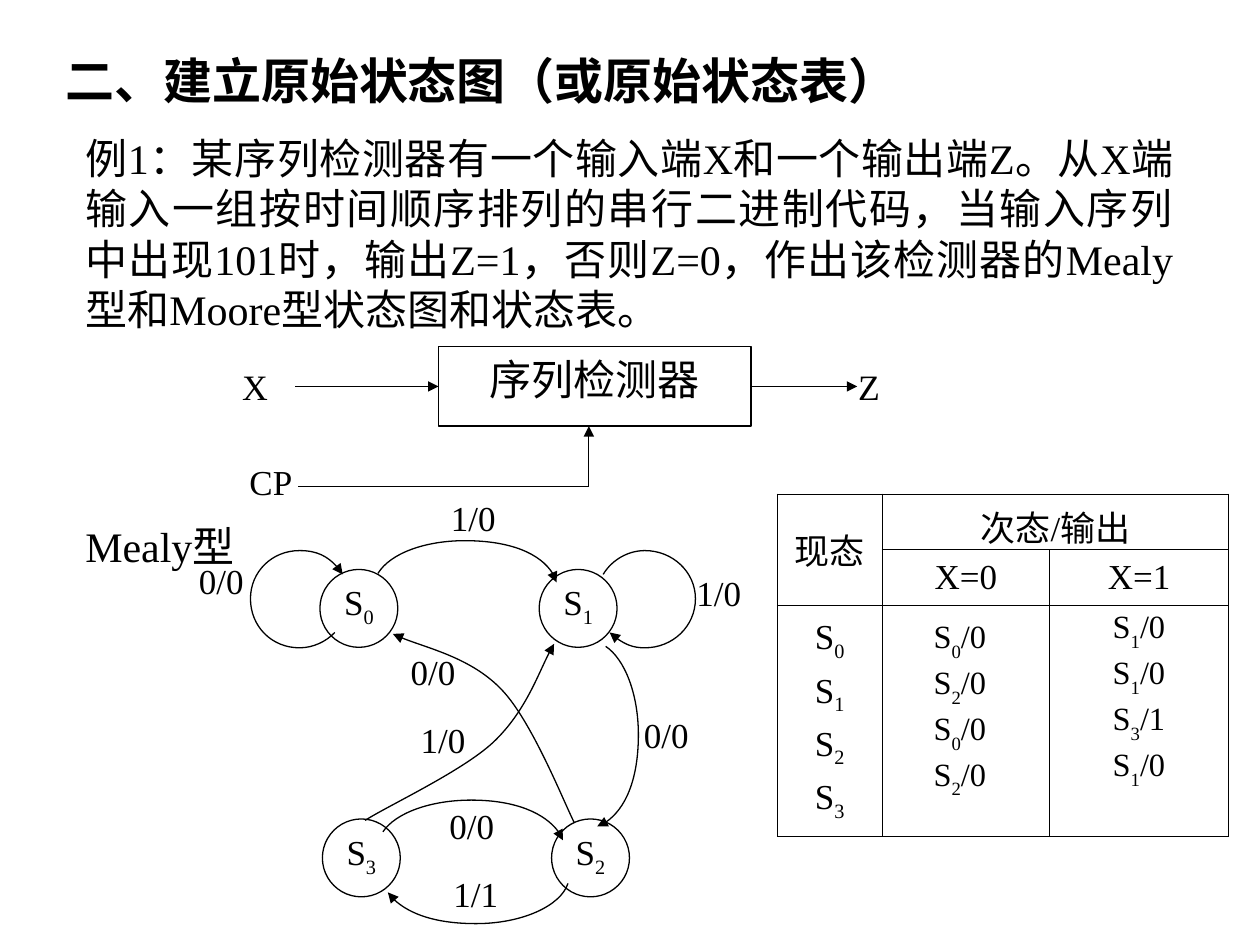
from pptx import Presentation
from pptx.dml.color import RGBColor
from pptx.enum.shapes import MSO_CONNECTOR, MSO_SHAPE
from pptx.enum.text import MSO_ANCHOR, MSO_AUTO_SIZE, PP_ALIGN
from pptx.oxml.xmlchemy import OxmlElement
from pptx.util import Cm, Pt

BLACK = RGBColor(0, 0, 0)
WHITE = RGBColor(255, 255, 255)
FONT = "Times New Roman"
LEFT, CENTER, JUSTIFY = PP_ALIGN.LEFT, PP_ALIGN.CENTER, PP_ALIGN.JUSTIFY
TOP, MIDDLE = MSO_ANCHOR.TOP, MSO_ANCHOR.MIDDLE
PADDING = (0.25, 0.13)
RIGHT_SIDE, LEFT_SIDE = 3, 1

QUESTION = ("例1：某序列检测器有一个输入端X和一个输出端Z。从X端输入一组按时间顺序排列的"
            "串行二进制代码，当输入序列中出现101时，输出Z=1，否则Z=0，作出该检测器的"
            "Mealy型和Moore型状态图和状态表。")

# Circles and arcs of the state diagram, in cm from its corner
STATE_SIZE = 1.57
STATES = {"0": (2.44, 1.47), "1": (6.86, 1.47), "2": (7.11, 6.5), "3": (2.49, 6.5)}
TRANSITIONS = [  # input/output, label corner, Bézier points up to the arrowhead
    ("0/0", (0, 1.27), [(2.74, 2.74), (2.57, 2.92), (2.31, 3.05), (2.03, 3.05),
                        (1.47, 3.05), (1.04, 2.62), (1.04, 2.06),
                        (1.04, 1.52), (1.47, 1.09), (2.03, 1.09),
                        (2.39, 1.09), (2.72, 1.27), (2.9, 1.57)]),
    ("1/0", (5.08, 0), [(3.61, 1.55), (3.86, 1.14), (4.57, 0.89), (5.36, 0.89),
                        (6.3, 0.89), (7.09, 1.24), (7.21, 1.73)]),
    ("1/0", (10.03, 1.52), [(8.15, 1.57), (8.33, 1.27), (8.66, 1.09), (8.99, 1.09),
                            (9.55, 1.09), (10.01, 1.52), (10.01, 2.06),
                            (10.01, 2.62), (9.55, 3.05), (8.99, 3.05),
                            (8.74, 3.05), (8.46, 2.92), (8.28, 2.74)]),
    ("0/0", (8.97, 4.37), [(8.2, 3.02), (8.59, 3.28), (8.86, 3.99), (8.86, 4.8),
                           (8.86, 5.72), (8.51, 6.5), (8.03, 6.65)]),
    ("0/0", (4.27, 3.1), [(7.57, 6.58), (7.34, 6.12), (6.71, 4.52), (6.1, 3.89),
                          (5.49, 3.25), (4.37, 3.0), (3.91, 2.77)]),
    ("1/1", (5.13, 7.57), [(7.44, 7.8), (7.29, 8.26), (6.5, 8.61), (5.59, 8.61),
                           (4.78, 8.61), (4.06, 8.36), (3.81, 7.98)]),
    ("0/0", (5.05, 6.2), [(3.71, 6.76), (3.96, 6.38), (4.67, 6.12), (5.49, 6.12),
                          (6.4, 6.12), (7.19, 6.48), (7.34, 6.93)]),
    ("1/0", (4.47, 4.47), [(3.35, 6.53), (3.78, 6.25), (5.31, 5.54), (5.94, 4.95),
                           (6.58, 4.34), (6.91, 3.38), (7.16, 2.97)]),
]

# Next state and output for each present state
NEXT_X0 = [("S", "0", "/0"), ("S", "2", "/0"), ("S", "0", "/0"), ("S", "2", "/0")]
NEXT_X1 = [("S", "1", "/0"), ("S", "1", "/0"), ("S", "3", "/1"), ("S", "1", "/0")]


def write(frame, lines, size, align=LEFT, anchor=TOP, padding=PADDING,
          bold=False, gap=0, drop=-25):
    """Each line is a tuple of runs; the second run is a subscript."""
    frame.word_wrap = True
    frame.vertical_anchor = anchor
    frame.margin_left = frame.margin_right = Cm(padding[0])
    frame.margin_top = frame.margin_bottom = Cm(padding[1])
    for number, parts in enumerate(lines):
        paragraph = frame.add_paragraph() if number else frame.paragraphs[0]
        paragraph.alignment = align
        if number and gap:
            paragraph.space_before = Pt(gap)
        for position, part in enumerate(parts):
            run = paragraph.add_run()
            run.text = part
            run.font.name, run.font.size, run.font.bold = FONT, Pt(size), bold
            run.font.color.rgb = BLACK
            if position == 1:
                run.font._element.set("baseline", str(drop * 1000))


def add_label(shapes, box, lines, size, **style):
    label = shapes.add_textbox(*(Cm(length) for length in box))
    write(label.text_frame, lines, size, **style)


def draw_line(item, arrow=False):
    item.line.color.rgb = BLACK
    item.line.width = Pt(0.75)
    if arrow:
        tip = OxmlElement("a:tailEnd")
        tip.set("type", "triangle")
        item.line._get_or_add_ln().append(tip)


def add_node(shapes, kind, box):
    node = shapes.add_shape(kind, *(Cm(length) for length in box))
    node.shadow.inherit = False
    draw_line(node)
    return node


def add_wire(shapes, start, end, arrow=True):
    wire = shapes.add_connector(MSO_CONNECTOR.STRAIGHT, Cm(start[0]), Cm(start[1]),
                                Cm(end[0]), Cm(end[1]))
    draw_line(wire, arrow)
    wire._element.spPr.append(OxmlElement("a:effectLst"))
    return wire


def add_curve(shapes, points):
    points = [(Cm(x), Cm(y)) for x, y in points]
    builder = shapes.build_freeform(*points[0])
    builder.add_line_segments(points[1:], close=False)
    arc = builder.convert_to_shape()
    arc.shadow.inherit = False
    arc.fill.background()
    draw_line(arc, arrow=True)
    # Every three segments become one Bézier curve
    segments = arc._element.xpath(".//a:lnTo")
    for first in range(0, len(segments), 3):
        bezier = OxmlElement("a:cubicBezTo")
        segments[first].addprevious(bezier)
        for segment in segments[first:first + 3]:
            bezier.append(segment[0])
            segment.getparent().remove(segment)


def add_title(slide, left, top, width, height):
    title = slide.shapes.title
    title.left, title.top, title.width, title.height = (
        Cm(left), Cm(top), Cm(width), Cm(height))
    title.text_frame.auto_size = MSO_AUTO_SIZE.NONE
    write(title.text_frame, [("二、建立原始状态图（或原始状态表）",)], 28, bold=True)


def add_block_diagram(slide, left, top):
    shapes = slide.shapes.add_group_shape().shapes
    block_left, block_width, block_height = left + 3.96, 6.3, 1.6
    block_right, block_bottom = block_left + block_width, top + block_height
    middle = top + block_height / 2
    detector = add_node(shapes, MSO_SHAPE.RECTANGLE,
                        (block_left, top, block_width, block_height))
    detector.fill.background()
    write(detector.text_frame, [("序列检测器",)], 24, align=CENTER)
    # Input, output and clock
    signal_in = add_wire(shapes, (left + 1.07, middle), (block_left, middle))
    signal_in.end_connect(detector, LEFT_SIDE)
    signal_out = add_wire(shapes, (block_right, middle), (left + 12.4, middle))
    signal_out.begin_connect(detector, RIGHT_SIDE)
    corner = (left + 6.99, top + 2.82)
    add_wire(shapes, corner, (corner[0], block_bottom))
    add_wire(shapes, corner, (left + 1.12, corner[1]), arrow=False)
    for name, x, y, size in (("X", 0, 0.36, 20.4), ("CP", 0.15, 2.29, 20),
                             ("Z", 12.42, 0.36, 20.4)):
        add_label(shapes, (left + x, top + y, 0.91, 0.85), [(name,)], size,
                  align=JUSTIFY, padding=(0, 0))


def add_state_diagram(slide, left, top):
    shapes = slide.shapes
    for number, (x, y) in STATES.items():
        state = add_node(shapes, MSO_SHAPE.OVAL,
                         (left + x, top + y, STATE_SIZE, STATE_SIZE))
        state.fill.solid()
        state.fill.fore_color.rgb = WHITE
        write(state.text_frame, [("S", number)], 20, align=CENTER, padding=(0, 0))
    for signal, (x, y), points in TRANSITIONS:
        add_curve(shapes, [(left + px, top + py) for px, py in points])
        add_label(shapes, (left + x, top + y, 0.97, 0.91), [(signal,)], 20,
                  align=JUSTIFY, padding=(0, 0))


def draw_borders(cell):
    properties = cell._tc.get_or_add_tcPr()
    for number, side in enumerate(("a:lnL", "a:lnR", "a:lnT", "a:lnB")):
        border, fill, color = (OxmlElement(tag) for tag in (side, "a:solidFill", "a:srgbClr"))
        border.set("w", str(Pt(0.45)))
        color.set("val", str(BLACK))
        fill.append(color)
        border.append(fill)
        properties.insert(number, border)


def add_state_table(slide, left, top):
    widths, heights = (2.11, 3.38, 3.61), (1.12, 1.12, 4.65)
    table = slide.shapes.add_table(3, 3, Cm(left), Cm(top), Cm(sum(widths)),
                                   Cm(sum(heights))).table
    table.first_row = table.horz_banding = False
    for column, width in zip(table.columns, widths):
        column.width = Cm(width)
    for row, height in zip(table.rows, heights):
        row.height = Cm(height)
    for cell in table.iter_cells():
        cell.fill.background()
        draw_borders(cell)
    table.cell(0, 0).merge(table.cell(1, 0))
    table.cell(0, 1).merge(table.cell(0, 2))
    contents = {(0, 0): [("现态",)], (0, 1): [("次态/输出",)],
                (1, 1): [("X=0",)], (1, 2): [("X=1",)],
                (2, 0): [("S", number) for number in STATES]}
    for place, lines in contents.items():
        cell = table.cell(*place)
        write(cell.text_frame, lines, 20, align=CENTER, gap=5)
        cell.vertical_anchor = MIDDLE
    # Next states laid over the two open cells
    for x, y, lines in ((2.31, 2.31, NEXT_X0), (5.92, 2.11, NEXT_X1)):
        add_label(slide.shapes, (left + x, top + y, 2.74, 4.01), lines, 18.5,
                  align=CENTER, anchor=MIDDLE, drop=-30)


def main():
    deck = Presentation()
    deck.slide_width, deck.slide_height = Cm(25.4), Cm(19.05)
    slide = deck.slides.add_slide(deck.slide_layouts[5])
    add_title(slide, 1.07, 0.89, 19.89, 1.45)
    add_label(slide.shapes, (1.47, 2.54, 22.43, 4.32), [(QUESTION,)], 24, align=JUSTIFY)
    add_block_diagram(slide, 4.88, 6.99)
    add_label(slide.shapes, (1.47, 10.36, 4.45, 1.27), [("Mealy型",)], 24)
    add_state_diagram(slide, 4.01, 10.01)
    add_state_table(slide, 15.67, 9.96)
    deck.save("out.pptx")


if __name__ == "__main__":
    main()
